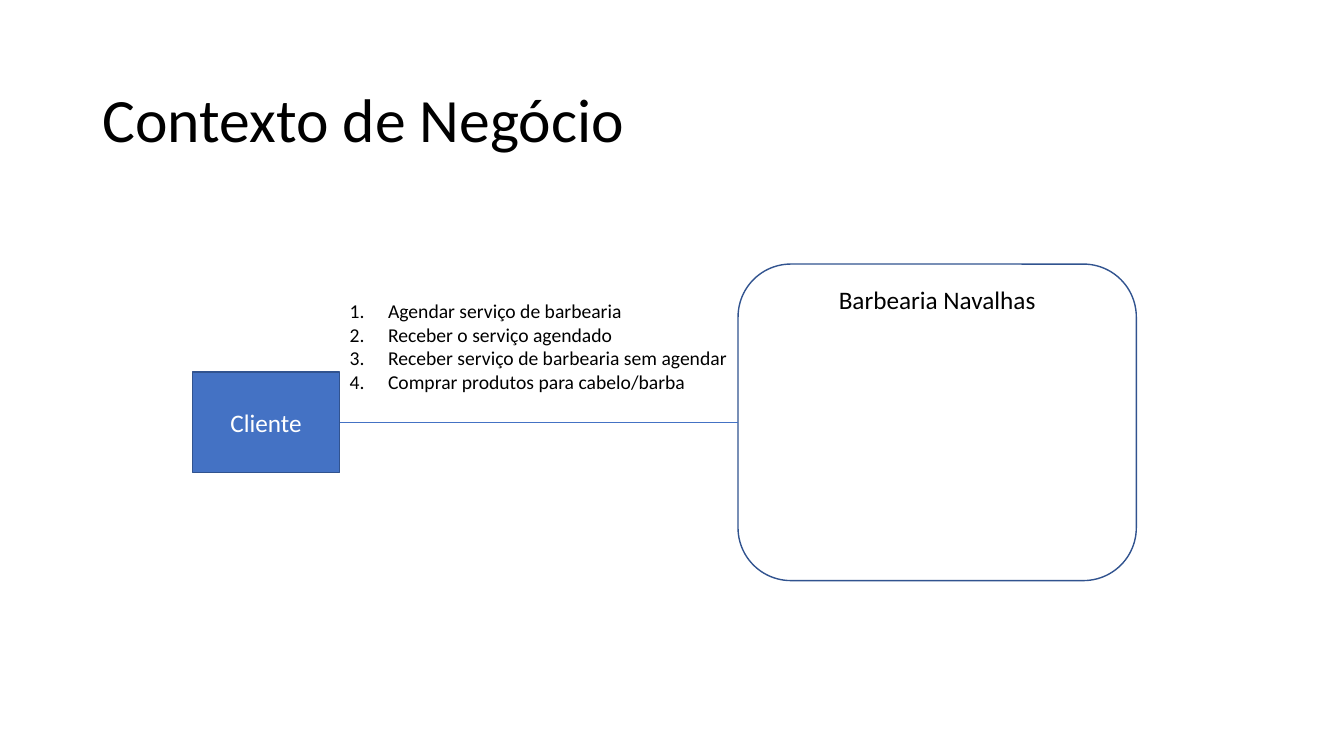
"""Build the business context slide: a client linked to a barber shop."""
import lxml.etree
import pptx
import pptx.util
import pptx.dml.color
import pptx.enum.shapes
import pptx.enum.text
import pptx.oxml.ns

Inches = pptx.util.Inches
Pt = pptx.util.Pt
Color = pptx.dml.color.RGBColor
Anchor = pptx.enum.text.MSO_ANCHOR
Align = pptx.enum.text.PP_ALIGN
Kind = pptx.enum.shapes.MSO_SHAPE
qn = pptx.oxml.ns.qn

BLACK = Color(0x00, 0x00, 0x00)
WHITE = Color(0xFF, 0xFF, 0xFF)
BLUE = Color(0x44, 0x72, 0xC4)
NAVY = Color(0x31, 0x53, 0x8F)


def write(para, text, size, color):
    """Add one run to a paragraph."""
    run = para.add_run()
    run.text = text
    run.font.name = "Calibri"
    run.font.size = Pt(size)
    run.font.color.rgb = color


def add_box(kind, left, top, width, height, anchor, text, color):
    """Add an outlined shape with centred text."""
    box = slide.shapes.add_shape(kind, Inches(left), Inches(top), Inches(width), Inches(height))
    box.shadow.inherit = False
    box.line.color.rgb = NAVY
    box.line.width = Pt(1)
    frame = box.text_frame
    frame.word_wrap = True
    frame.vertical_anchor = anchor
    frame.paragraphs[0].alignment = Align.CENTER
    write(frame.paragraphs[0], text, 18, color)
    return box


deck = pptx.Presentation()
deck.slide_width = Inches(13.33)
deck.slide_height = Inches(7.5)
slide = deck.slides.add_slide(deck.slide_layouts[6])

title = slide.shapes.add_textbox(Inches(0.92), Inches(0.49), Inches(11.5), Inches(1.45))
title.text_frame.word_wrap = True
title.text_frame.vertical_anchor = Anchor.MIDDLE
title.text_frame.paragraphs[0].line_spacing = 0.9
write(title.text_frame.paragraphs[0], "Contexto de Negócio", 44, BLACK)

client = add_box(Kind.RECTANGLE, 1.91, 3.69, 1.46, 1, Anchor.MIDDLE, "Cliente", WHITE)
client.fill.solid()
client.fill.fore_color.rgb = BLUE

shop = add_box(Kind.ROUNDED_RECTANGLE, 7.32, 2.62, 3.95, 3.14, Anchor.TOP, "Barbearia Navalhas", BLACK)
shop.fill.background()
shop.adjustments[0] = 0.167

link = slide.shapes.add_connector(
    pptx.enum.shapes.MSO_CONNECTOR.CURVE, Inches(3.37), Inches(4.19), Inches(7.32), Inches(4.21))
link.begin_connect(client, 3)
link.end_connect(shop, 1)
link.line.color.rgb = BLUE
link.line.width = Pt(0.75)
lxml.etree.SubElement(link._element.spPr, qn("a:effectLst"))

tasks = [
    "Agendar serviço de barbearia",
    "Receber o serviço agendado",
    "Receber serviço de barbearia sem agendar",
    "Comprar produtos para cabelo/barba",
]
notes = slide.shapes.add_textbox(Inches(3.37), Inches(2.92), Inches(3.95), Inches(1.29))
frame = notes.text_frame
frame.word_wrap = True
for index, task in enumerate(tasks):
    para = frame.add_paragraph() if index else frame.paragraphs[0]
    props = para._p.get_or_add_pPr()
    props.set("marL", str(Inches(0.38)))
    props.set("indent", str(Inches(-0.38)))
    lxml.etree.SubElement(props, qn("a:buFont"), typeface="+mj-lt")
    lxml.etree.SubElement(props, qn("a:buAutoNum"), type="arabicPeriod")
    write(para, task, 14, BLACK)

deck.save("out.pptx")
